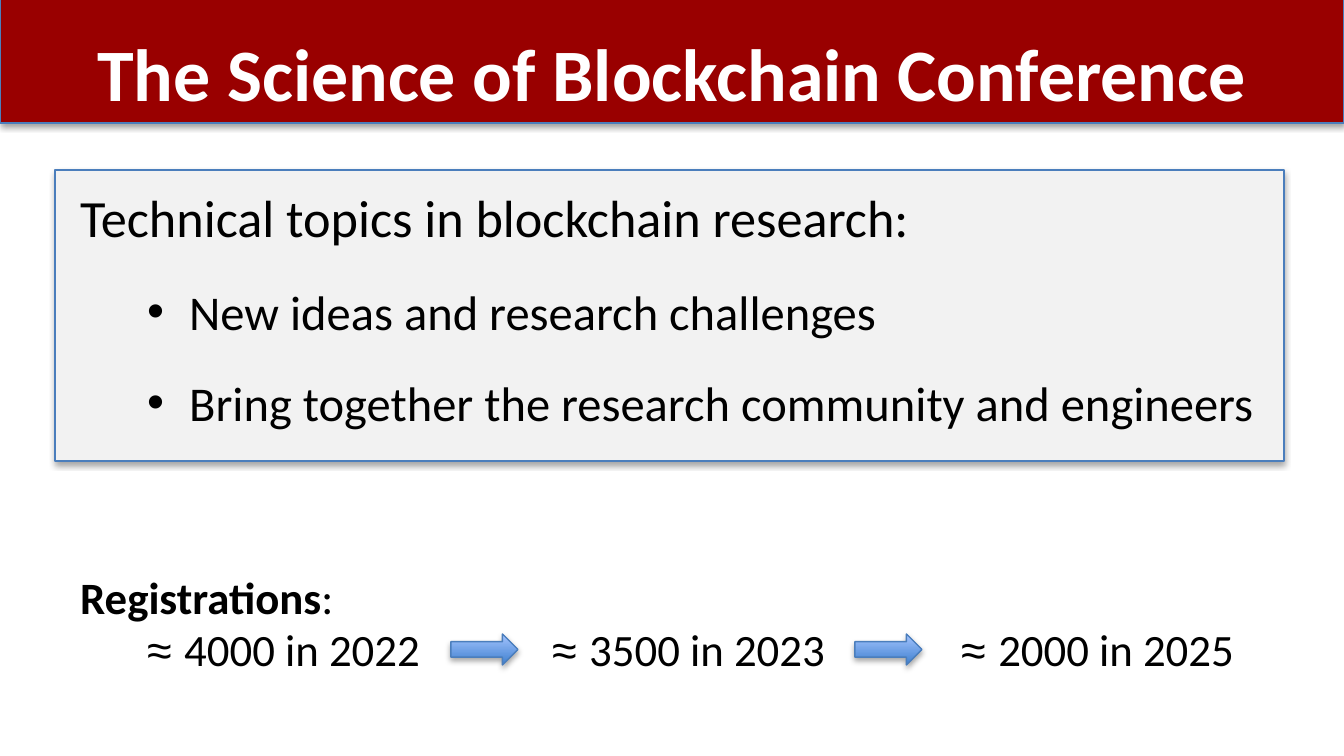
from lxml.etree import SubElement
from pptx import Presentation
from pptx.dml.color import RGBColor
from pptx.enum.shapes import MSO_SHAPE as Shape
from pptx.enum.text import MSO_ANCHOR as Anchor, MSO_AUTO_SIZE as AutoSize, PP_ALIGN as Align
from pptx.oxml.ns import qn
from pptx.util import Pt

# Content
TITLE = "The Science of Blockchain Conference"
TOPICS_HEADING = "Technical topics in blockchain research:"
TOPICS = [
    "New ideas and research challenges",
    "Bring together the research community and engineers",
]
REGISTRATIONS = [("4000 in 2022", 134), ("3500 in 2023", 539), ("2000 in 2025", 948)]
ARROW_LEFTS = [451, 855]

RED = RGBColor(0x99, 0x00, 0x00)
BLUE = RGBColor(0x4B, 0x7E, 0xBC)
ARROW_DARK = RGBColor(0x3F, 0x80, 0xCE)
ARROW_LIGHT = RGBColor(0xA4, 0xC4, 0xFF)
GREY = RGBColor(0xF2, 0xF2, 0xF2)
WHITE = RGBColor(0xFF, 0xFF, 0xFF)
BLACK = RGBColor(0x00, 0x00, 0x00)
EMU_PER_PX = 914400 / 134.4


def px(*lengths):
    return [round(length * EMU_PER_PX) for length in lengths]


def add_panel(slide, kind, box, fill=None):
    """Add a blue-outlined shape with a soft shadow below it."""
    shape = slide.shapes.add_shape(kind, *px(*box))
    if fill is not None:
        shape.fill.solid()
        shape.fill.fore_color.rgb = fill
    shape.line.color.rgb = BLUE
    shape.line.width = Pt(0.75)
    shape.shadow.inherit = False
    effects = shape.element.spPr.find(qn("a:effectLst"))
    shadow = SubElement(effects, qn("a:outerShdw"), blurRad=str(Pt(3.1)),
                        dist=str(Pt(1.8)), dir="5400000", rotWithShape="0")
    color = SubElement(shadow, qn("a:srgbClr"), val="000000")
    SubElement(color, qn("a:alpha"), val="35000")
    return shape


def add_text_box(slide, box):
    text_frame = slide.shapes.add_textbox(*px(*box)).text_frame
    text_frame.word_wrap = True
    return text_frame


def format_run(run, size, color=BLACK, bold=False, name="Calibri"):
    run.font.size = Pt(size)
    run.font.color.rgb = color
    run.font.bold = bold
    run.font.name = name


def add_run(paragraph, text, **style):
    run = paragraph.add_run()
    run.text = text
    format_run(run, 24, **style)


def add_bullet(paragraph, margin, indent):
    properties = paragraph._p.get_or_add_pPr()
    properties.set("marL", str(px(margin)[0]))
    properties.set("indent", str(px(indent)[0]))
    SubElement(properties, qn("a:buFont"), typeface="Arial")
    SubElement(properties, qn("a:buChar"), char="•")


presentation = Presentation()
presentation.slide_width, presentation.slide_height = px(1344, 756)
slide = presentation.slides.add_slide(presentation.slide_layouts[5])

# Title on its red band
title = slide.shapes.title
title.left, title.top, title.width, title.height = px(67, 21, 1210, 91)
band = add_panel(slide, Shape.RECTANGLE, (0, -1, 1344, 124), RED)
title.element.addprevious(band.element)
text_frame = title.text_frame
text_frame.text = TITLE
text_frame.word_wrap = False
text_frame.auto_size = AutoSize.NONE
text_frame.vertical_anchor = Anchor.TOP
text_frame.paragraphs[0].alignment = Align.CENTER
format_run(text_frame.paragraphs[0].runs[0], 39.6, WHITE, bold=True)

# Topics panel
add_panel(slide, Shape.RECTANGLE, (55, 170, 1229, 291), GREY)
text_frame = add_text_box(slide, (67, 179, 1242, 317))
text_frame.text = TOPICS_HEADING
format_run(text_frame.paragraphs[0].runs[0], 28)
for topic in TOPICS:
    paragraph = text_frame.add_paragraph()
    paragraph.text = topic
    paragraph.level = 1
    paragraph.space_before = Pt(17.8)
    add_bullet(paragraph, margin=109, indent=-42)
    format_run(paragraph.runs[0], 26)

# Registrations by year
label = add_text_box(slide, (67, 563, 400, 62)).paragraphs[0]
add_run(label, "Registrations", bold=True)
add_run(label, ":")
for count, left in REGISTRATIONS:
    paragraph = add_text_box(slide, (left, 615, 302, 67)).paragraphs[0]
    add_run(paragraph, "≈ ", name="Arial")
    add_run(paragraph, count)

# Arrows from year to year
for left in ARROW_LEFTS:
    arrow = add_panel(slide, Shape.RIGHT_ARROW, (left, 634, 67, 31))
    arrow.fill.gradient()
    arrow.fill.gradient_angle = 90
    for stop, color in zip(arrow.fill.gradient_stops, (ARROW_DARK, ARROW_LIGHT)):
        stop.color.rgb = color

presentation.save("out.pptx")
